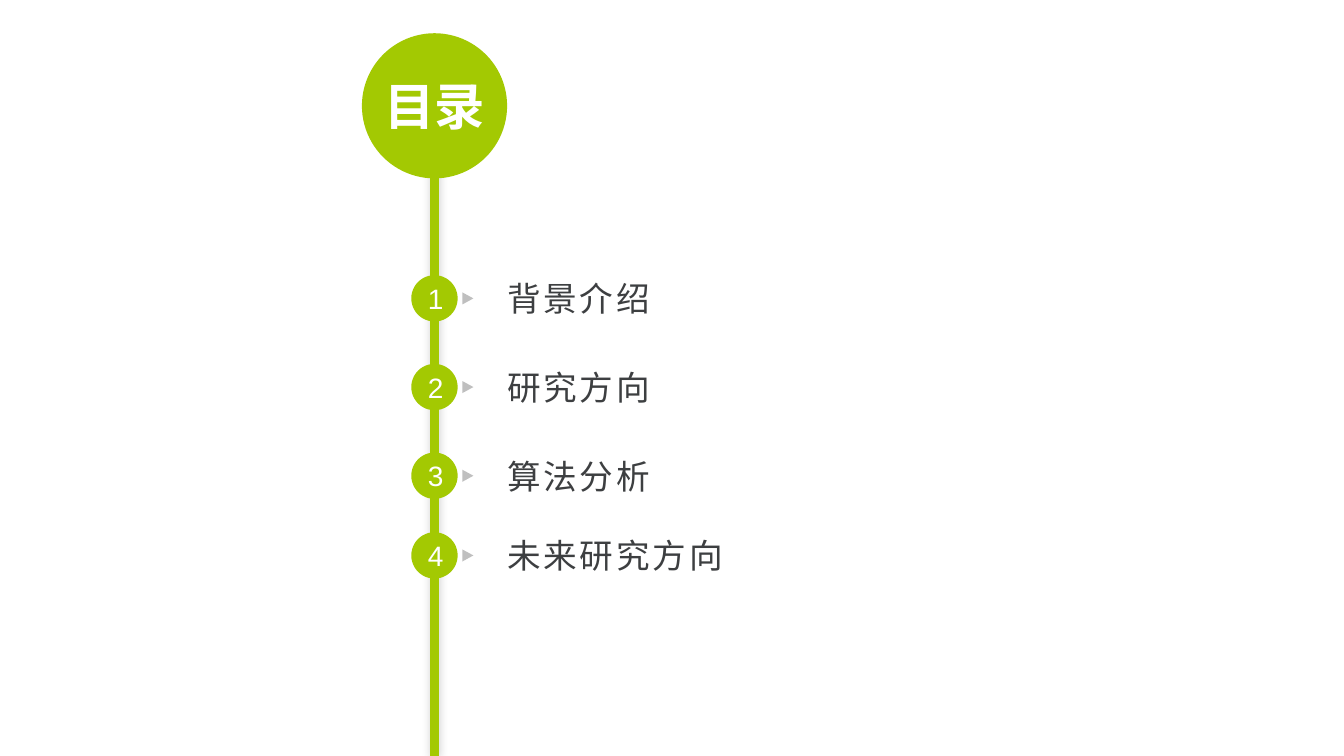
from lxml import etree
from pptx import Presentation
from pptx import util as u
from pptx.dml.color import RGBColor
from pptx.enum import shapes, text
from pptx.oxml.ns import qn

COLORS = {"green": "A3C902", "grey": "BFBFBF", "ink": "3D3F41", "white": "FFFFFF"}
WIDTH, HEIGHT = u.Inches(13.33), u.Inches(7.5)
COL, ROW = WIDTH / 100, HEIGHT / 100  # grid of 100 columns by 100 rows

AXIS = 32.33 * COL
ARROW_X = 34.81 * COL
LABEL_X = 37.73 * COL
TOPICS = [  # label, centre row, font
    ("背景介绍", 39.47, "Arial"),
    ("研究方向", 51.2, "Times New Roman"),
    ("算法分析", 62.93, "Times New Roman"),
    ("未来研究方向", 73.47, "Times New Roman"),
]


def rgb(name):
    return RGBColor.from_string(COLORS[name])


def box(center_x, center_y, width, height):
    return [u.Emu(round(v)) for v in
            (center_x - width / 2, center_y - height / 2, width, height)]


def add_flat(slide, kind, bounds, color):
    shape = slide.shapes.add_shape(kind, *bounds)
    shape.shadow.inherit = False
    shape.fill.solid()
    shape.fill.fore_color.rgb = rgb(color)
    shape.line.fill.background()
    return shape


def write(frame, words, size, font, color, align, bold=False):
    frame.vertical_anchor = text.MSO_ANCHOR.MIDDLE
    frame.word_wrap = True
    line = frame.paragraphs[0]
    line.text = words
    line.alignment = align
    line.font.size = u.Pt(size)
    line.font.name = font
    line.font.bold = bold
    line.font.color.rgb = rgb(color)
    return line


def clear_margins(frame):
    frame.margin_left = frame.margin_right = frame.margin_top = frame.margin_bottom = 0


def add_stem(slide):
    top = 13.87 * ROW
    height = HEIGHT - top
    stem = add_flat(slide, shapes.MSO_SHAPE.RECTANGLE,
                    box(AXIS, top + height / 2, 0.65 * COL, height), "green")
    # Soft shadow around the stem
    effects = stem.element.spPr.find(qn("a:effectLst"))
    shadow = etree.SubElement(effects, qn("a:outerShdw"), blurRad=str(u.Pt(6)),
                              dist="0", dir=str(225 * 60000), rotWithShape="0")
    tint = etree.SubElement(shadow, qn("a:srgbClr"), val="000000")
    etree.SubElement(tint, qn("a:alpha"), val="20000")


def add_disc(slide, center_y, diameter, words, size, bold=False):
    disc = add_flat(slide, shapes.MSO_SHAPE.OVAL,
                    box(AXIS, center_y, diameter, diameter), "green")
    write(disc.text_frame, words, size, "Arial", "white", text.PP_ALIGN.CENTER, bold)
    return disc


def add_topic(slide, number, label, center_y, font):
    add_disc(slide, center_y, 6.13 * ROW, str(number), 20)
    # Pointer from number to label
    pointer = add_flat(slide, shapes.MSO_SHAPE.ISOSCELES_TRIANGLE,
                       box(ARROW_X, center_y, 1.6 * ROW, 1.47 * ROW), "grey")
    pointer.rotation = 90
    # Label
    width = 43.8 * COL
    caption = slide.shapes.add_textbox(
        *box(LABEL_X + width / 2, center_y, width, 9.4 * ROW)).text_frame
    clear_margins(caption)
    line = write(caption, label, 24, font, "ink", text.PP_ALIGN.LEFT)
    line.runs[0].font._element.set("spc", "200")


def main():
    deck = Presentation()
    deck.slide_width, deck.slide_height = WIDTH, HEIGHT
    slide = deck.slides.add_slide(deck.slide_layouts[6])

    # Stem and heading
    add_stem(slide)
    heading = add_disc(slide, 14 * ROW, 19.2 * ROW, "目录", 36, bold=True)
    clear_margins(heading.text_frame)

    # Numbered topics
    for number, (label, row, font) in enumerate(TOPICS, 1):
        add_topic(slide, number, label, row * ROW, font)

    deck.save("out.pptx")


if __name__ == "__main__":
    main()
